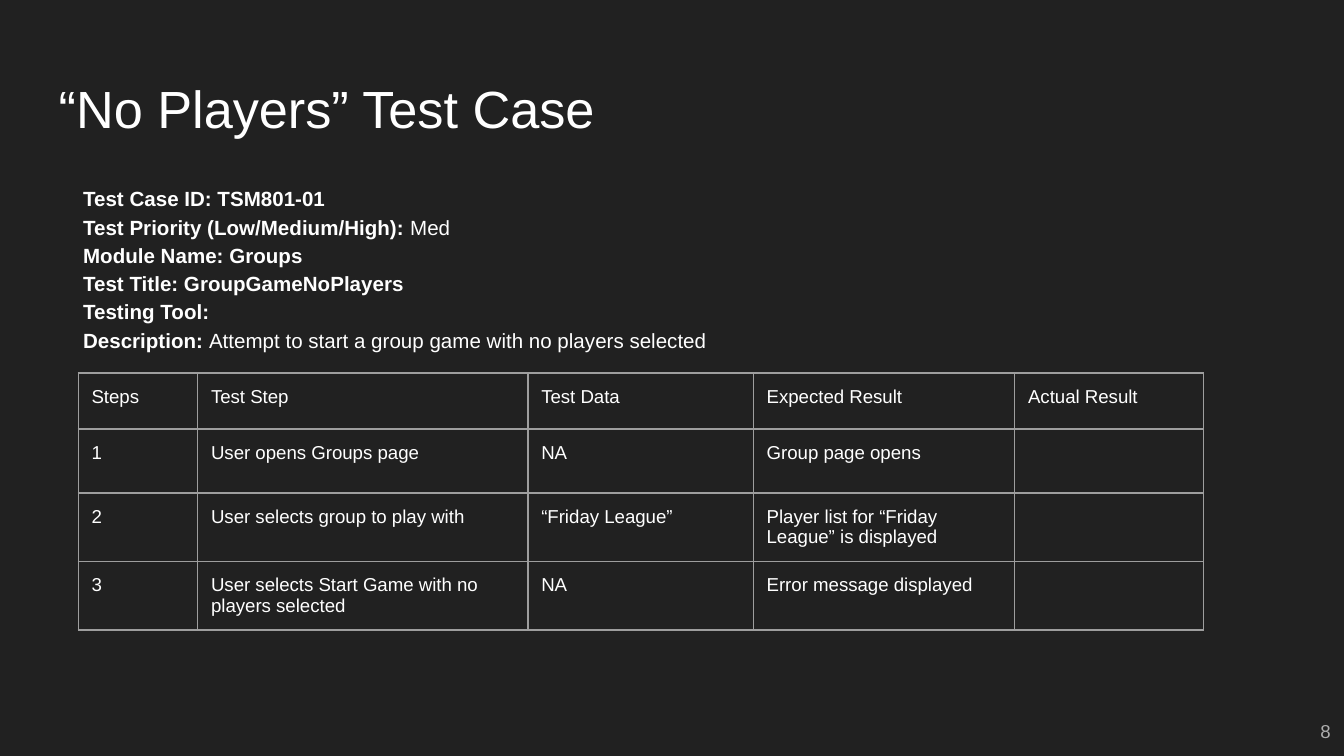
from dataclasses import dataclass

from lxml.etree import SubElement
from pptx import Presentation
from pptx.dml.color import RGBColor
from pptx.enum.text import MSO_ANCHOR, MSO_AUTO_SIZE, PP_ALIGN
from pptx.oxml.ns import qn
from pptx.util import Cm, Pt

WHITE, GREY, BORDER, DARK = "FFFFFF", "ADADAD", "9E9E9E", "212121"
INSET = Cm(0.25)


@dataclass
class Box:
    left: float
    top: float
    width: float
    height: float

    def lengths(self) -> tuple:
        return Cm(self.left), Cm(self.top), Cm(self.width), Cm(self.height)


@dataclass
class Field:
    label: str
    value: str = ""


FIELDS = [
    Field("Test Case ID: TSM801-01"),
    Field("Test Priority (Low/Medium/High): ", "Med"),
    Field("Module Name: Groups"),
    Field("Test Title: GroupGameNoPlayers"),
    Field("Testing Tool:"),
    Field("Description: ", "Attempt to start a group game with no players selected"),
]
STEPS = [
    ("Steps", "Test Step", "Test Data", "Expected Result", "Actual Result"),
    ("1", "User opens Groups page", "NA", "Group page opens", ""),
    ("2", "User selects group to play with", "“Friday League”",
     "Player list for “Friday League” is displayed", ""),
    ("3", "User selects Start Game with no players selected", "NA",
     "Error message displayed", ""),
]
COLUMN_WIDTHS = [2.26, 6.24, 4.26, 4.94, 3.57]
ROW_HEIGHTS = [1.06, 1.21, 1.29, 1.3]


def rgb(value: str) -> RGBColor:
    return RGBColor.from_string(value)


def style_run(r, size: float, color: str = WHITE, bold: bool = False) -> None:
    r.font.name = "Arial"
    r.font.size = Pt(size)
    r.font.bold = bold
    r.font.color.rgb = rgb(color)


def set_insets(target) -> None:
    target.margin_left = target.margin_right = INSET
    target.margin_top = target.margin_bottom = INSET


def place(sp, box: Box, anchor: MSO_ANCHOR):
    sp.left, sp.top, sp.width, sp.height = box.lengths()
    tf = sp.text_frame
    set_insets(tf)
    tf.word_wrap = True
    tf.auto_size = MSO_AUTO_SIZE.NONE
    tf.vertical_anchor = anchor
    return tf


def write_line(tf, text: str, size: float, color: str, align: PP_ALIGN) -> None:
    tf.text = text
    p = tf.paragraphs[0]
    p.alignment = align
    style_run(p.runs[0], size, color)


def write_fields(tf, fields: list[Field]) -> None:
    for i, field in enumerate(fields):
        p = tf.add_paragraph() if i else tf.paragraphs[0]
        pPr = p._p.get_or_add_pPr()
        pPr.set("marL", "0")
        pPr.set("indent", "0")
        SubElement(pPr, qn("a:buNone"))
        p.line_spacing = 1.15
        p.space_before = Pt(0)
        for text, bold in ((field.label, True), (field.value, False)):
            if text:
                r = p.add_run()
                r.text = text
                style_run(r, 11, bold=bold)


def set_borders(cell, color: str, width: float) -> None:
    tcPr = cell._tc.get_or_add_tcPr()
    for side in ("lnL", "lnR", "lnT", "lnB"):
        ln = SubElement(tcPr, qn(f"a:{side}"), w=str(Pt(width)))
        fill = SubElement(ln, qn("a:solidFill"))
        SubElement(fill, qn("a:srgbClr"), val=color)


def fill_cell(cell, text: str) -> None:
    set_borders(cell, BORDER, 0.75)
    cell.fill.background()
    if text:
        set_insets(cell)
        cell.text = text
        style_run(cell.text_frame.paragraphs[0].runs[0], 10)


def add_steps(s, left: float, top: float) -> None:
    box = Box(left, top, sum(COLUMN_WIDTHS), sum(ROW_HEIGHTS))
    table = s.shapes.add_table(len(STEPS), len(COLUMN_WIDTHS), *box.lengths()).table
    table.first_row = table.horz_banding = False
    for column, width in zip(table.columns, COLUMN_WIDTHS):
        column.width = Cm(width)
    for row, height, texts in zip(table.rows, ROW_HEIGHTS, STEPS):
        row.height = Cm(height)
        for cell, text in zip(row.cells, texts):
            fill_cell(cell, text)


def main() -> None:
    prs = Presentation()
    prs.slide_width, prs.slide_height = Cm(25.4), Cm(14.29)
    s = prs.slides.add_slide(prs.slide_layouts[1])
    s.background.fill.solid()
    s.background.fill.fore_color.rgb = rgb(DARK)

    title = place(s.shapes.title, Box(0.86, 1.24, 23.67, 1.6), MSO_ANCHOR.MIDDLE)
    write_line(title, "“No Players” Test Case", 28, WHITE, PP_ALIGN.LEFT)

    body = place(s.placeholders[1], Box(1.32, 3.2, 23.22, 9.5), MSO_ANCHOR.TOP)
    write_fields(body, FIELDS)

    add_steps(s, 1.48, 7.05)

    page_box = Box(24.61, 13.43, 0.79, 0.86)
    page = place(s.shapes.add_textbox(*page_box.lengths()), page_box, MSO_ANCHOR.BOTTOM)
    write_line(page, "8", 10, GREY, PP_ALIGN.RIGHT)

    prs.save("out.pptx")


if __name__ == "__main__":
    main()
